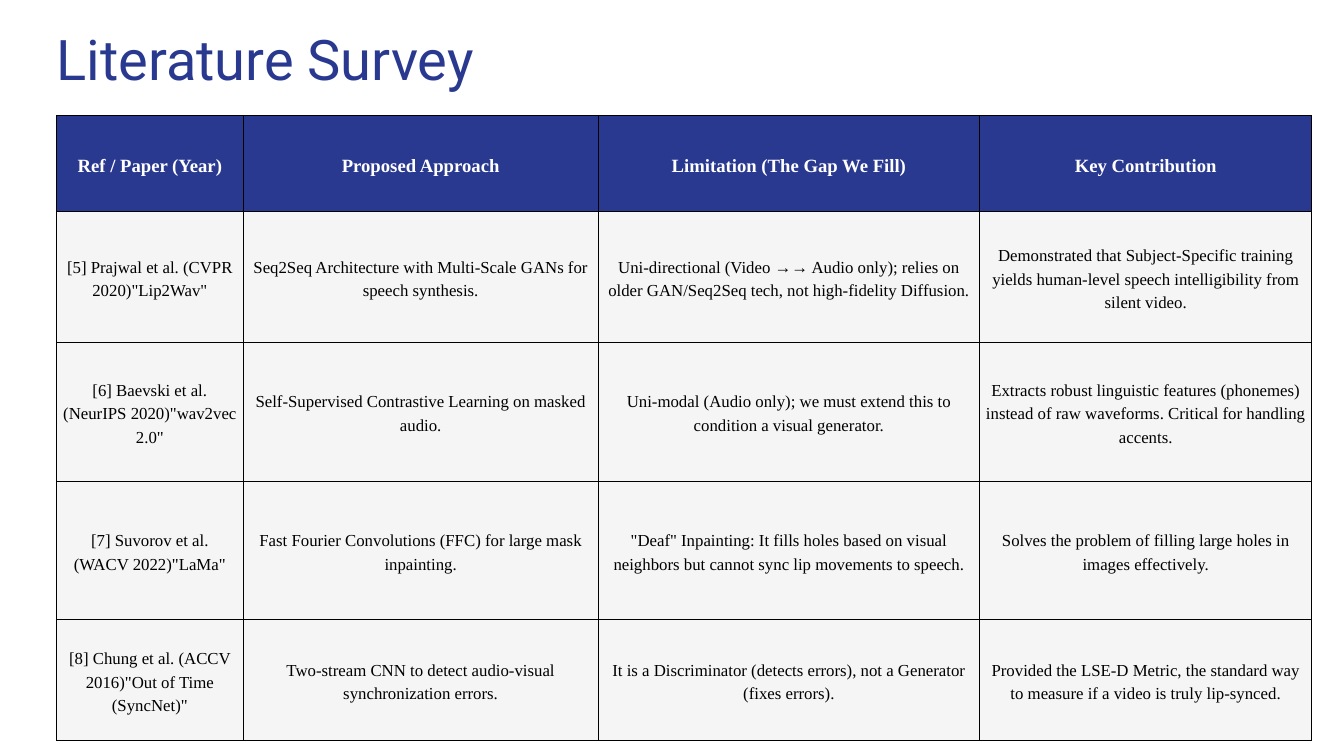
from lxml import etree
from pptx import Presentation
from pptx.dml.color import RGBColor
from pptx.enum.text import MSO_ANCHOR, PP_ALIGN
from pptx.oxml.ns import qn
from pptx.util import Pt

PX = 9144  # EMU per px, 100 px to the inch
CENTER, MIDDLE = PP_ALIGN.CENTER, MSO_ANCHOR.MIDDLE

NAVY = RGBColor(0x2A, 0x39, 0x90)
PALE = RGBColor(0xF5, 0xF5, 0xF5)
WHITE = RGBColor(0xFF, 0xFF, 0xFF)
BLACK = RGBColor(0x00, 0x00, 0x00)

# Content
TITLE = "Literature Survey"
SURVEY = [
    ("Ref / Paper (Year)", "Proposed Approach",
     "Limitation (The Gap We Fill)", "Key Contribution"),
    ('[5] Prajwal et al. (CVPR 2020)"Lip2Wav"',
     "Seq2Seq Architecture with Multi-Scale GANs for speech synthesis.",
     "Uni-directional (Video →→ Audio only); relies on older GAN/Seq2Seq tech, "
     "not high-fidelity Diffusion.",
     "Demonstrated that Subject-Specific training yields human-level speech "
     "intelligibility from silent video."),
    ('[6] Baevski et al. (NeurIPS 2020)"wav2vec 2.0"',
     "Self-Supervised Contrastive Learning on masked audio.",
     "Uni-modal (Audio only); we must extend this to condition a visual generator.",
     "Extracts robust linguistic features (phonemes) instead of raw waveforms. "
     "Critical for handling accents."),
    ('[7] Suvorov et al. (WACV 2022)"LaMa"',
     "Fast Fourier Convolutions (FFC) for large mask inpainting.",
     '"Deaf" Inpainting: It fills holes based on visual neighbors but cannot '
     "sync lip movements to speech.",
     "Solves the problem of filling large holes in images effectively."),
    ('[8] Chung et al. (ACCV 2016)"Out of Time (SyncNet)"',
     "Two-stream CNN to detect audio-visual synchronization errors.",
     "It is a Discriminator (detects errors), not a Generator (fixes errors).",
     "Provided the LSE-D Metric, the standard way to measure if a video is "
     "truly lip-synced."),
]

# Layout in px
SLIDE_SIZE = (2000, 1125)
LEFT = 84
TITLE_TOP, TITLE_WIDTH, TITLE_HEIGHT = 37, 1622, 102
TABLE_TOP = 172
COLUMN_WIDTHS = (278, 528, 568, 494)
ROW_HEIGHTS = (143, 194, 207, 206, 180)
CELL_MARGIN = 8


def add_borders(cell):
    properties = cell._tc.get_or_add_tcPr()
    for side in ("lnL", "lnR", "lnT", "lnB"):
        line = etree.SubElement(properties, qn(f"a:{side}"), w=str(Pt(0.75)))
        fill = etree.SubElement(line, qn("a:solidFill"))
        etree.SubElement(fill, qn("a:srgbClr"), val=str(BLACK))


def style_text(paragraph, font_name, size, color, spacing, bold=False):
    paragraph.line_spacing = Pt(spacing)
    font = paragraph.font
    font.name, font.size, font.bold = font_name, Pt(size), bold
    font.color.rgb = color


def fill_cell(cell, text, is_header):
    add_borders(cell)
    cell.fill.solid()
    cell.fill.fore_color.rgb = NAVY if is_header else PALE
    cell.vertical_anchor = MIDDLE
    cell.margin_left = cell.margin_right = CELL_MARGIN * PX
    cell.margin_top = cell.margin_bottom = CELL_MARGIN * PX
    cell.text = text
    paragraph = cell.text_frame.paragraphs[0]
    paragraph.alignment = CENTER
    size = 20 if is_header else 18
    style_text(paragraph, "Times New Roman", size,
               WHITE if is_header else BLACK, size * 1.4, is_header)


def add_survey(slide):
    survey = slide.shapes.add_table(
        len(SURVEY), len(COLUMN_WIDTHS), LEFT * PX, TABLE_TOP * PX,
        sum(COLUMN_WIDTHS) * PX, sum(ROW_HEIGHTS) * PX).table
    for column, width in zip(survey.columns, COLUMN_WIDTHS):
        column.width = width * PX
    for row, height in zip(survey.rows, ROW_HEIGHTS):
        row.height = height * PX
    for r, texts in enumerate(SURVEY):
        for c, text in enumerate(texts):
            fill_cell(survey.cell(r, c), text, is_header=r == 0)


def add_title(slide):
    frame = slide.shapes.add_textbox(
        LEFT * PX, TITLE_TOP * PX, TITLE_WIDTH * PX, TITLE_HEIGHT * PX).text_frame
    frame.word_wrap = True
    frame.margin_left = frame.margin_right = 0
    frame.margin_top = frame.margin_bottom = 0
    frame.text = TITLE
    style_text(frame.paragraphs[0], "Roboto", 60, NAVY, 72)


def main():
    deck = Presentation()
    deck.slide_width, deck.slide_height = (side * PX for side in SLIDE_SIZE)
    slide = deck.slides.add_slide(deck.slide_layouts[6])
    add_survey(slide)
    add_title(slide)
    deck.save("out.pptx")


if __name__ == "__main__":
    main()
